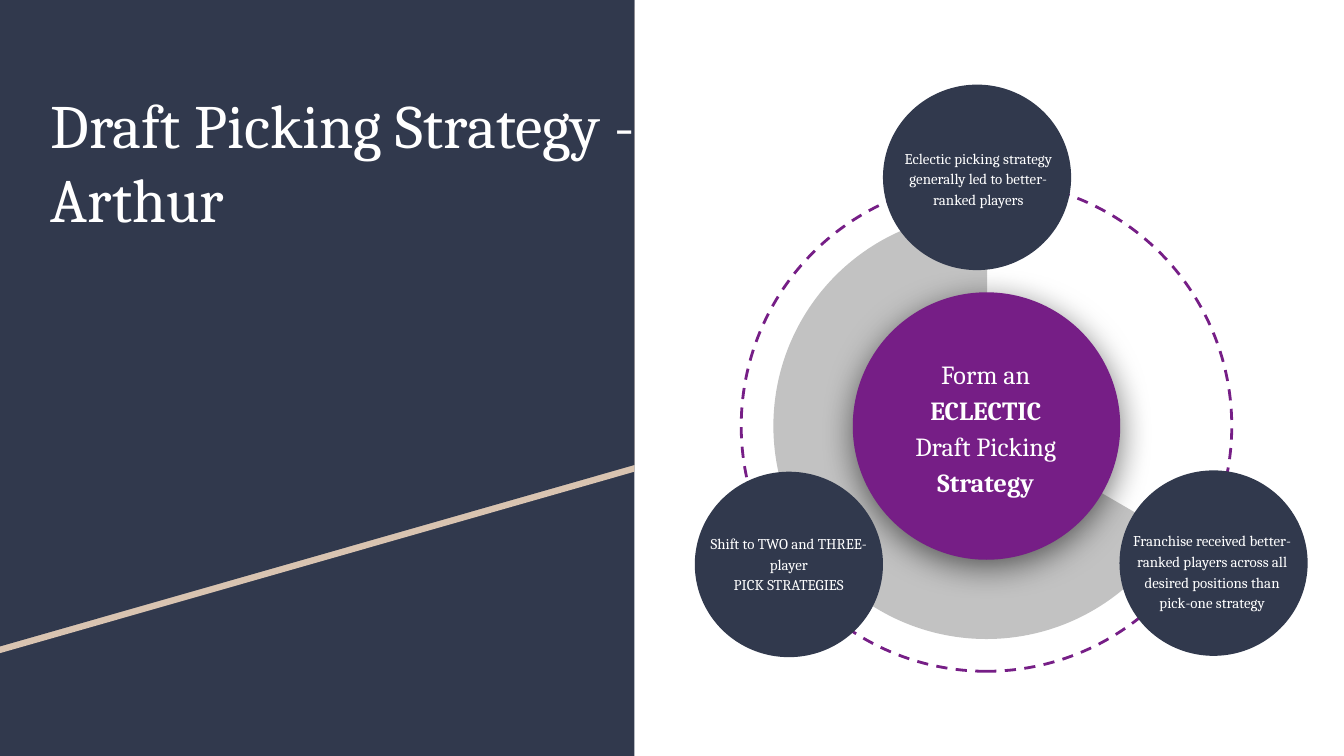
from lxml import etree
from pptx import Presentation
from pptx.dml.color import RGBColor
from pptx.enum.dml import MSO_LINE_DASH_STYLE as Dash
from pptx.enum.shapes import MSO_SHAPE as Shape
from pptx.enum.text import MSO_ANCHOR as Anchor, PP_ALIGN as Align
from pptx.oxml.ns import qn
from pptx.util import Inches, Pt

NAVY = RGBColor(0x31, 0x39, 0x4D)
TAN = RGBColor(0xD9, 0xC4, 0xB1)
PURPLE = RGBColor(0x76, 0x1E, 0x86)
GRAY = RGBColor(0xC2, 0xC2, 0xC2)
WHITE = RGBColor(0xFF, 0xFF, 0xFF)
FONT = "Cambria"

PAGE_WIDTH = 10
PAGE_HEIGHT = PAGE_WIDTH * 9 / 16
PANEL_WIDTH = 4.72
HUB_X, HUB_Y = 7.34, 3.17


def paint(shape, color):
    shape.shadow.inherit = False
    shape.fill.solid()
    shape.fill.fore_color.rgb = color
    shape.line.fill.background()


def add_filled(page, kind, area, color):
    shape = page.shapes.add_shape(kind, *map(Inches, area))
    paint(shape, color)
    return shape


def add_polygon(page, points, color):
    corners = [(Inches(x), Inches(y)) for x, y in points]
    builder = page.shapes.build_freeform(*corners[0])
    builder.add_line_segments(corners[1:], close=True)
    paint(builder.convert_to_shape(), color)


def around_hub(size):
    """Return the area of a square centred on the hub."""
    return HUB_X - size / 2, HUB_Y - size / 2, size, size


def add_soft_shadow(shape, blur, distance, opacity):
    effects = shape._element.spPr.find(qn("a:effectLst"))
    shadow = etree.SubElement(
        effects, qn("a:outerShdw"), blurRad=str(Pt(blur)), dist=str(Pt(distance)),
        dir="5400000", algn="bl", rotWithShape="0")
    color = etree.SubElement(shadow, qn("a:srgbClr"), val="000000")
    etree.SubElement(color, qn("a:alpha"), val=str(opacity * 1000))


def write(box, paragraphs, size, align=Align.CENTER, anchor=Anchor.MIDDLE, spacing=1.15):
    """Fill a box with paragraphs, each a list of (text, bold) runs."""
    frame = box.text_frame
    frame.word_wrap = True
    frame.vertical_anchor = anchor
    frame.margin_left = frame.margin_right = Inches(0.1)
    frame.margin_top = frame.margin_bottom = Inches(0.1)
    for index, runs in enumerate(paragraphs):
        para = frame.add_paragraph() if index else frame.paragraphs[0]
        para.alignment = align
        para.line_spacing = spacing
        for text, bold in runs:
            span = para.add_run()
            span.text = text
            span.font.name = FONT
            span.font.size = Pt(size)
            span.font.bold = bold
            span.font.color.rgb = WHITE


def add_text(page, area, paragraphs, size, **options):
    box = page.shapes.add_textbox(*map(Inches, area))
    write(box, paragraphs, size, **options)


def add_panel(page):
    add_filled(page, Shape.RECTANGLE, (0, 0, PANEL_WIDTH, PAGE_HEIGHT), NAVY)
    # The tan band shows below the navy area
    for top, color in ((0.05, TAN), (0, NAVY)):
        add_polygon(page, [(0, top), (PANEL_WIDTH, top),
                           (PANEL_WIDTH, 3.46 + top), (0, 4.81 + top)], color)


def add_hub(page):
    # Dashed orbit
    orbit = page.shapes.add_shape(Shape.OVAL, *map(Inches, around_hub(3.65)))
    orbit.shadow.inherit = False
    orbit.rotation = 270
    orbit.fill.background()
    orbit.line.color.rgb = PURPLE
    orbit.line.width = Pt(1.5)
    orbit.line.dash_style = Dash.DASH

    # Gray sector
    sector = add_filled(page, Shape.PIE, around_hub(3.17), GRAY)
    sector.adjustments[0] = 18.12
    sector.adjustments[1] = 162.15

    # Centre disc and its label
    disc = add_filled(page, Shape.OVAL, around_hub(1.99), PURPLE)
    add_soft_shadow(disc, blur=18, distance=4, opacity=55)
    label = add_filled(page, Shape.RECTANGLE, (6.6, 2.72, 1.47, 0.9), PURPLE)
    write(label, [[("Form an ", False), ("ECLECTIC ", True),
                   ("Draft Picking ", False), ("Strategy", True)]], 14)


def add_satellite(page, left, top, text_area, lines):
    add_filled(page, Shape.OVAL, (left, top, 1.4, 1.38), NAVY)
    add_text(page, text_area, [[(line, False)] for line in lines], 8)


def main():
    deck = Presentation()
    deck.slide_width, deck.slide_height = Inches(PAGE_WIDTH), Inches(PAGE_HEIGHT)
    page = deck.slides.add_slide(deck.slide_layouts[6])

    add_panel(page)
    add_hub(page)

    # Outer circles
    add_satellite(page, 6.57, 0.63, (6.62, 0.85, 1.32, 0.94),
                  ["Eclectic picking strategy generally led to better-ranked players"])
    add_satellite(page, 5.17, 3.51, (5.17, 3.79, 1.4, 0.8),
                  ["Shift to TWO and THREE-player", "PICK STRATEGIES"])
    add_satellite(page, 8.33, 3.5, (8.33, 3.71, 1.38, 1.07),
                  ["Franchise received better-ranked players across all "
                   "desired positions than pick-one strategy"])

    # Title
    add_text(page, (0.28, 0.55, 4.72, 2.74), [[("Draft Picking Strategy - Arthur", False)]],
             33, align=Align.LEFT, anchor=Anchor.TOP, spacing=1.0)

    deck.save("out.pptx")


if __name__ == "__main__":
    main()
